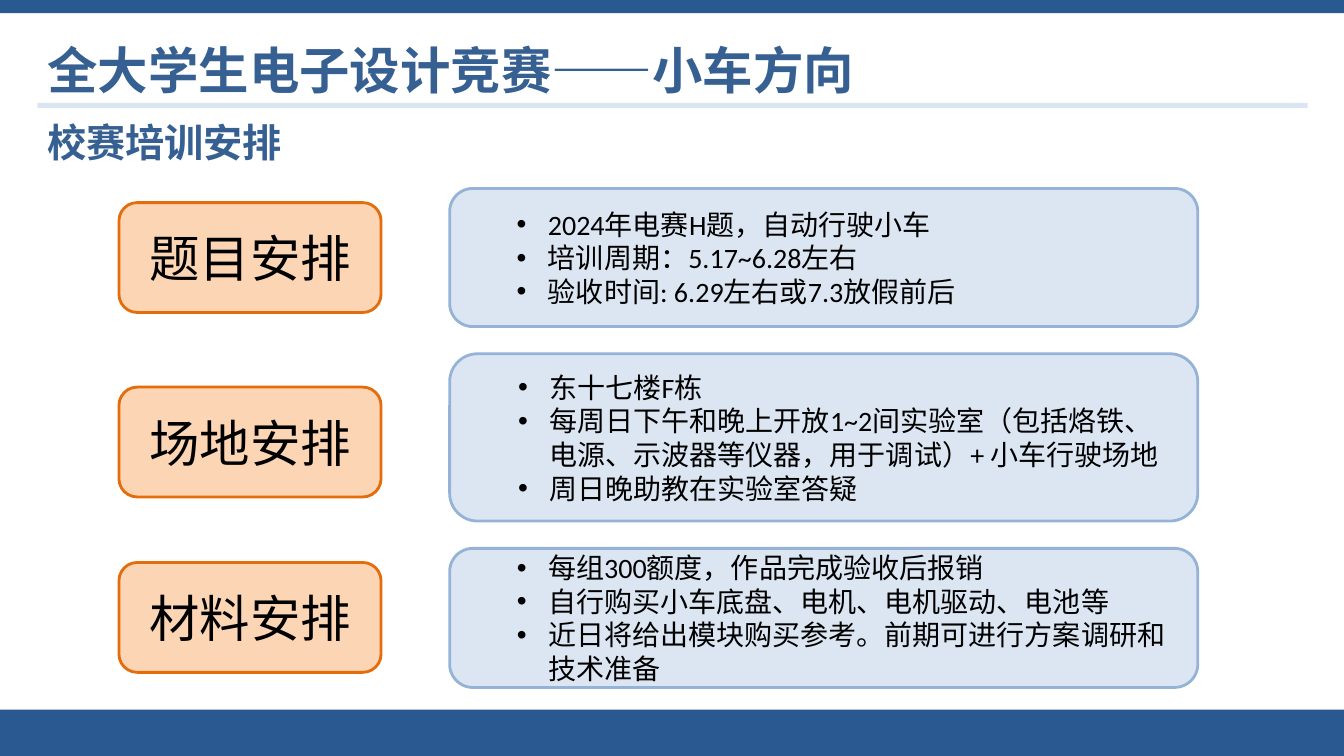
"""Builds the training schedule slide of an electronics design contest."""
from lxml.etree import SubElement
from pptx import Presentation
from pptx.dml.color import RGBColor
from pptx.enum.shapes import MSO_SHAPE
from pptx.enum.text import MSO_ANCHOR, MSO_AUTO_SIZE, PP_ALIGN
from pptx.oxml.ns import qn
from pptx.util import Inches, Pt

TITLE = "全大学生电子设计竞赛——小车方向"
SUBTITLE = "校赛培训安排"
SECTIONS = [
    {"name": "题目安排", "label_top": 2.01, "height": 1.37, "items": [
        "2024年电赛H题，自动行驶小车",
        "培训周期：5.17~6.28左右",
        "验收时间: 6.29左右或7.3放假前后"]},
    {"name": "场地安排", "label_top": 3.84, "height": 1.66, "items": [
        "东十七楼F栋",
        "每周日下午和晚上开放1~2间实验室（包括烙铁、电源、示波器等仪器，用于调试）+ 小车行驶场地",
        "周日晚助教在实验室答疑"]},
    {"name": "材料安排", "label_top": 5.58, "height": 1.38, "items": [
        "每组300额度，作品完成验收后报销",
        "自行购买小车底盘、电机、电机驱动、电池等",
        "近日将给出模块购买参考。前期可进行方案调研和技术准备"]},
]
COLORS = {"band": "2A5992", "rule": "DCE6F2", "heading": "376092", "text": "000000",
          "label": "FCD5B5", "label_line": "E46C0A",
          "panel": "DCE6F2", "panel_line": "95B3D7"}
CJK_FONT = "Noto Sans CJK SC"
STYLES = {
    "title": {"size": Pt(36), "bold": True, "name": CJK_FONT},
    "subtitle": {"size": Pt(28), "bold": True, "name": "Calibri"},
    "label": {"size": Pt(36), "bold": False, "name": "Calibri"},
    "item": {"size": Pt(20), "bold": False, "name": "Calibri"},
}
WIDTH, HEIGHT = 13.33, 7.5
MARGIN, CONTENT_WIDTH = 0.37, 12.6
FOOTER = 0.46
LABEL_LEFT, LABEL_WIDTH, LABEL_HEIGHT = 1.18, 2.6, 1.09
PANEL_LEFT, PANEL_WIDTH, PANEL_TOP, PANEL_GAP = 4.46, 7.42, 1.87, 0.27
BULLET_INDENT, BULLET_HANG = 0.81, 0.31


def box(*lengths):
    return [Inches(v) for v in lengths]


def add_block(s, kind, place, fill, line=None):
    sp = s.shapes.add_shape(kind, *box(*place))
    sp.shadow.inherit = False
    sp.fill.solid()
    sp.fill.fore_color.rgb = RGBColor.from_string(COLORS[fill])
    if line:
        sp.line.color.rgb = RGBColor.from_string(COLORS[line])
        sp.line.width = Pt(2)
    else:
        sp.line.fill.background()
    return sp


def write(p, text, style, color, align=PP_ALIGN.LEFT):
    p.alignment = align
    r = p.add_run()
    r.text = text
    for name, value in STYLES[style].items():
        setattr(r.font, name, value)
    r.font.color.rgb = RGBColor.from_string(COLORS[color])
    rPr = r.font._element
    rPr.set("lang", "zh-CN")
    SubElement(rPr, qn("a:ea")).set("typeface", CJK_FONT)


def add_bullet(p):
    p.level = 1
    pPr = p._p.get_or_add_pPr()
    pPr.set("marL", str(Inches(BULLET_INDENT)))
    pPr.set("indent", str(-Inches(BULLET_HANG)))
    SubElement(pPr, qn("a:buFont")).set("typeface", "Arial")
    SubElement(pPr, qn("a:buChar")).set("char", "•")


def add_headings(s):
    title = s.shapes.title
    title.left, title.top, title.width, title.height = box(MARGIN, 0.3, CONTENT_WIDTH, 0.77)
    title.text_frame.vertical_anchor = MSO_ANCHOR.MIDDLE
    write(title.text_frame.paragraphs[0], TITLE, "title", "heading")
    tf = s.shapes.add_textbox(*box(MARGIN, 1.12, 4.76, 0.57)).text_frame
    tf.word_wrap = True
    tf.auto_size = MSO_AUTO_SIZE.SHAPE_TO_FIT_TEXT
    write(tf.paragraphs[0], SUBTITLE, "subtitle", "heading")


def add_section(s, section, top):
    label = add_block(s, MSO_SHAPE.FLOWCHART_ALTERNATE_PROCESS,
                      (LABEL_LEFT, section["label_top"], LABEL_WIDTH, LABEL_HEIGHT),
                      "label", "label_line")
    write(label.text_frame.paragraphs[0], section["name"], "label", "text", PP_ALIGN.CENTER)
    panel = add_block(s, MSO_SHAPE.ROUNDED_RECTANGLE,
                      (PANEL_LEFT, top, PANEL_WIDTH, section["height"]),
                      "panel", "panel_line")
    tf = panel.text_frame
    for i, item in enumerate(section["items"]):
        p = tf.add_paragraph() if i else tf.paragraphs[0]
        add_bullet(p)
        write(p, item, "item", "text")
    for sp in (label, panel):
        sp.text_frame.word_wrap = True
        sp.text_frame.vertical_anchor = MSO_ANCHOR.MIDDLE


def main():
    prs = Presentation()
    prs.slide_width, prs.slide_height = box(WIDTH, HEIGHT)
    s = prs.slides.add_slide(prs.slide_layouts[5])
    for place, fill in [((0, HEIGHT - FOOTER, WIDTH, FOOTER), "band"),
                        ((0, 0, WIDTH, 0.13), "band"),
                        ((MARGIN, 1.02, CONTENT_WIDTH, 0.05), "rule")]:
        add_block(s, MSO_SHAPE.RECTANGLE, place, fill)
    add_headings(s)
    top = PANEL_TOP
    for section in SECTIONS:
        add_section(s, section, top)
        top += section["height"] + PANEL_GAP
    prs.save("out.pptx")


if __name__ == "__main__":
    main()
